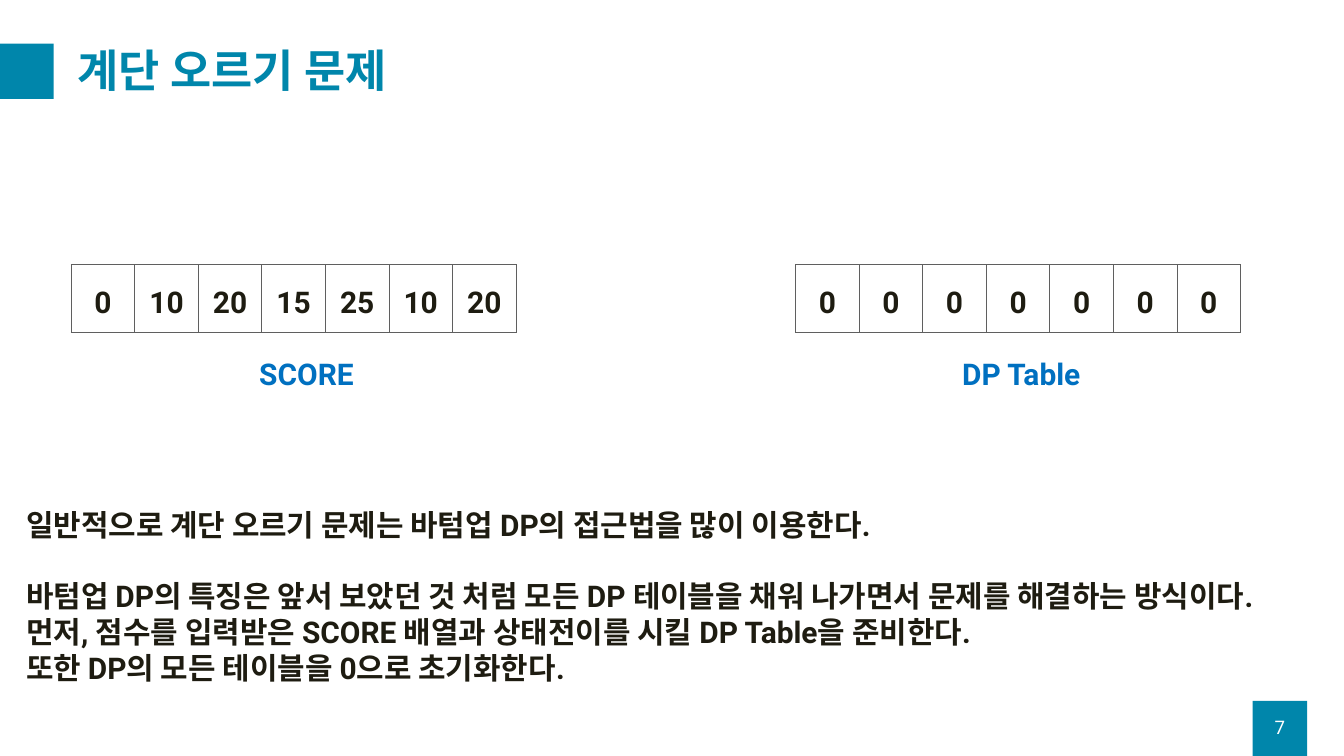
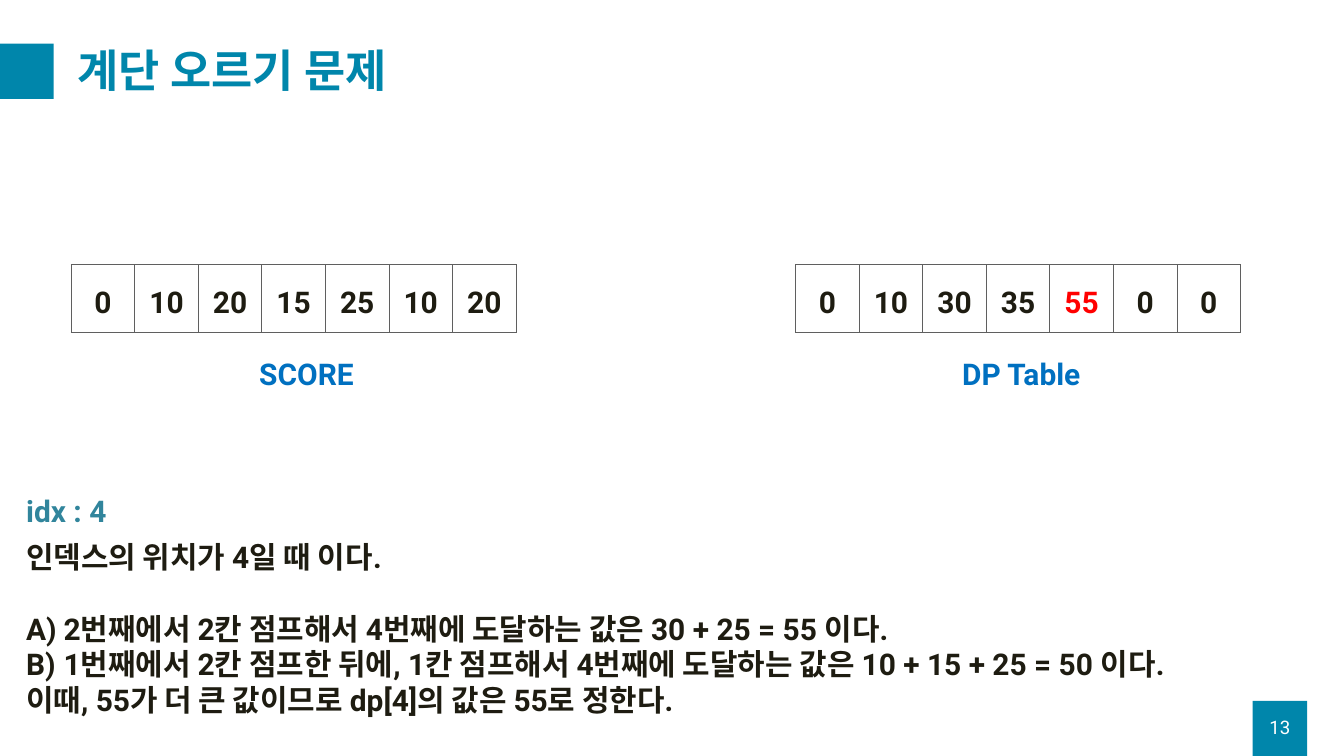
from lxml.etree import SubElement
from pptx import Presentation
from pptx.dml.color import RGBColor
from pptx.enum.shapes import MSO_SHAPE as SHAPE
from pptx.enum.text import MSO_ANCHOR as ANCHOR, PP_ALIGN as ALIGN
from pptx.oxml.ns import qn
from pptx.util import Inches, Pt

FONT = "Roboto"
TEAL, INK, BLUE, AQUA = "0086AB", "1E1C11", "0070C0", "31859C"
RED, WHITE, GRID = "FF0000", "FFFFFF", "5F5F5F"
WIDTH, HEIGHT = 20, 11.25
BLOCK = 0.81, 0.82
PAGE_LEFT = 18.64
MARGIN, TEXT_WIDTH = 0.29, 19.16
TABLE_TOP, TABLE_WIDTH, TABLE_HEIGHT = 3.94, 6.62, 1.01
LABEL_TOP, LABEL_WIDTH, LINE_HEIGHT = 5.24, 3.14, 0.64
LINE_GAP, INDENT = 38, 0.56

TITLE = "계단 오르기 문제"
SCORE = [0, 10, 20, 15, 25, 10, 20]
ARRAYS = [("SCORE", 1.06, 3.76), ("DP Table", 11.84, 14.22)]
SLIDES = [
    dict(page=7, dp=[0] * 7, current=None, top=7.49, height=3.33, numbered=(), lines=[
        "일반적으로 계단 오르기 문제는 바텀업 DP의 접근법을 많이 이용한다.",
        "바텀업 DP의 특징은 앞서 보았던 것 처럼 모든 DP 테이블을 채워 나가면서 문제를 해결하는 방식이다.",
        "먼저, 점수를 입력받은 SCORE 배열과 상태전이를 시킬 DP Table을 준비한다.",
        "또한 DP의 모든 테이블을 0으로 초기화한다.",
    ]),
    dict(page=13, dp=[0, 10, 30, 35, 55, 0, 0], current=4, top=7.97, height=2.79, numbered=(1, 2), lines=[
        "인덱스의 위치가 4일 때 이다.",
        "2번째에서 2칸 점프해서 4번째에 도달하는 값은 30 + 25 = 55 이다.",
        "1번째에서 2칸 점프한 뒤에, 1칸 점프해서 4번째에 도달하는 값은 10 + 15 + 25 = 50 이다.",
        "이때, 55가 더 큰 값이므로 dp[4]의 값은 55로 정한다.",
    ]),
]


def rgb(color):
    return RGBColor.from_string(color)


def box(*lengths):
    return [Inches(n) for n in lengths]


def style(p, text, color, size=32, bold=True):
    p.text = text
    f = p.font
    f.name, f.size, f.bold = FONT, Pt(size), bold
    f.color.rgb = rgb(color)


def add_text(s, at, lines, color, size=32, bold=True, anchor=ANCHOR.TOP):
    tf = s.shapes.add_textbox(*box(*at)).text_frame
    tf.word_wrap = True
    tf.vertical_anchor = anchor
    for i, line in enumerate(lines):
        p = tf.add_paragraph() if i else tf.paragraphs[0]
        style(p, line, color, size, bold)
    return tf.paragraphs


def add_block(s, left, top):
    sp = s.shapes.add_shape(SHAPE.RECTANGLE, *box(left, top, *BLOCK))
    sp.shadow.inherit = False
    sp.fill.solid()
    sp.fill.fore_color.rgb = rgb(TEAL)
    sp.line.fill.background()


def add_borders(cell):
    tc_pr = cell._tc.get_or_add_tcPr()
    for i, side in enumerate("LRTB"):
        ln = SubElement(tc_pr, qn(f"a:ln{side}"), w=str(Pt(1)))
        fill = SubElement(ln, qn("a:solidFill"))
        SubElement(fill, qn("a:srgbClr"), val=GRID)
        tc_pr.insert(i, ln)


def add_array(s, left, values, current):
    at = box(left, TABLE_TOP, TABLE_WIDTH, TABLE_HEIGHT)
    table = s.shapes.add_table(1, len(values), *at).table
    table.first_row = table.horz_banding = False
    for i, value in enumerate(values):
        table.columns[i].width = Inches(TABLE_WIDTH / len(values))
        cell = table.cell(0, i)
        cell.fill.background()
        add_borders(cell)
        p = cell.text_frame.paragraphs[0]
        style(p, str(value), RED if i == current else INK)
        p.alignment, p.line_spacing = ALIGN.CENTER, 1.5


def add_number(p):
    p_pr = p._p.get_or_add_pPr()
    p_pr.set("marL", str(Inches(INDENT)))
    p_pr.set("indent", str(-Inches(INDENT)))
    number = SubElement(p_pr, qn("a:buAutoNum"), type="alphaUcParenR")
    p_pr.find(qn("a:defRPr")).addprevious(number)


def add_frame(s, page):
    add_block(s, PAGE_LEFT, HEIGHT - BLOCK[1])
    add_block(s, -0.01, 0.65)
    title = add_text(s, (1.06, 0.5, 18.25, 1.18), [TITLE], TEAL, 48, anchor=ANCHOR.MIDDLE)
    title[0].line_spacing = 0.9
    number = add_text(s, (PAGE_LEFT, 10.52, BLOCK[0], 0.6), [str(page)], WHITE, 20, False, ANCHOR.MIDDLE)
    number[0].alignment = ALIGN.CENTER


def add_slide(prs, page, dp, current, top, height, numbered, lines):
    s = prs.slides.add_slide(prs.slide_layouts[6])
    add_frame(s, page)
    paragraphs = add_text(s, (MARGIN, top, TEXT_WIDTH, height), lines, INK)
    paragraphs[1].space_before = Pt(LINE_GAP)
    for i in numbered:
        add_number(paragraphs[i])
    marks = None, current
    for (label, left, label_left), values, mark in zip(ARRAYS, (SCORE, dp), marks):
        add_array(s, left, values, mark)
        add_text(s, (label_left, LABEL_TOP, LABEL_WIDTH, LINE_HEIGHT), [label], BLUE)
    if current is not None:
        add_text(s, (MARGIN, 7.28, 5.8, LINE_HEIGHT), [f"idx : {current}"], AQUA)


def main():
    prs = Presentation()
    prs.slide_width, prs.slide_height = box(WIDTH, HEIGHT)
    for content in SLIDES:
        add_slide(prs, **content)
    prs.save("out.pptx")


if __name__ == "__main__":
    main()
